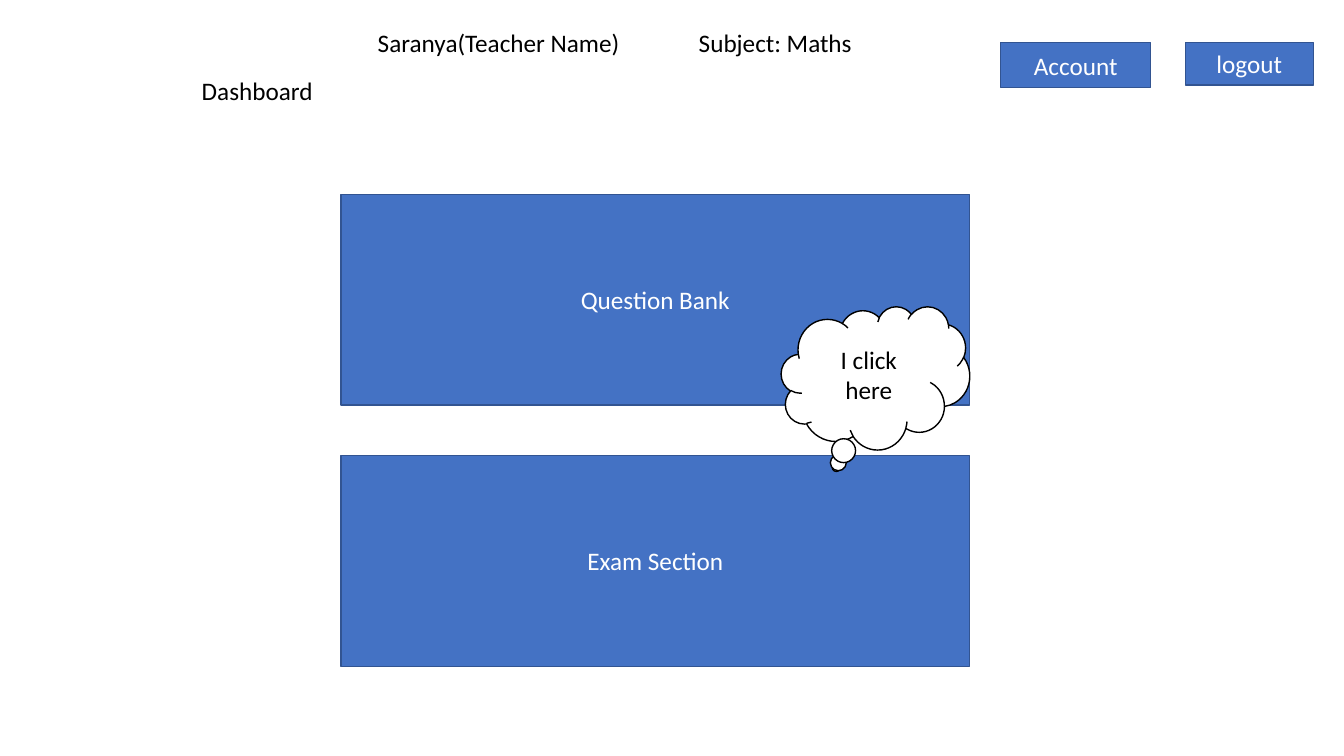
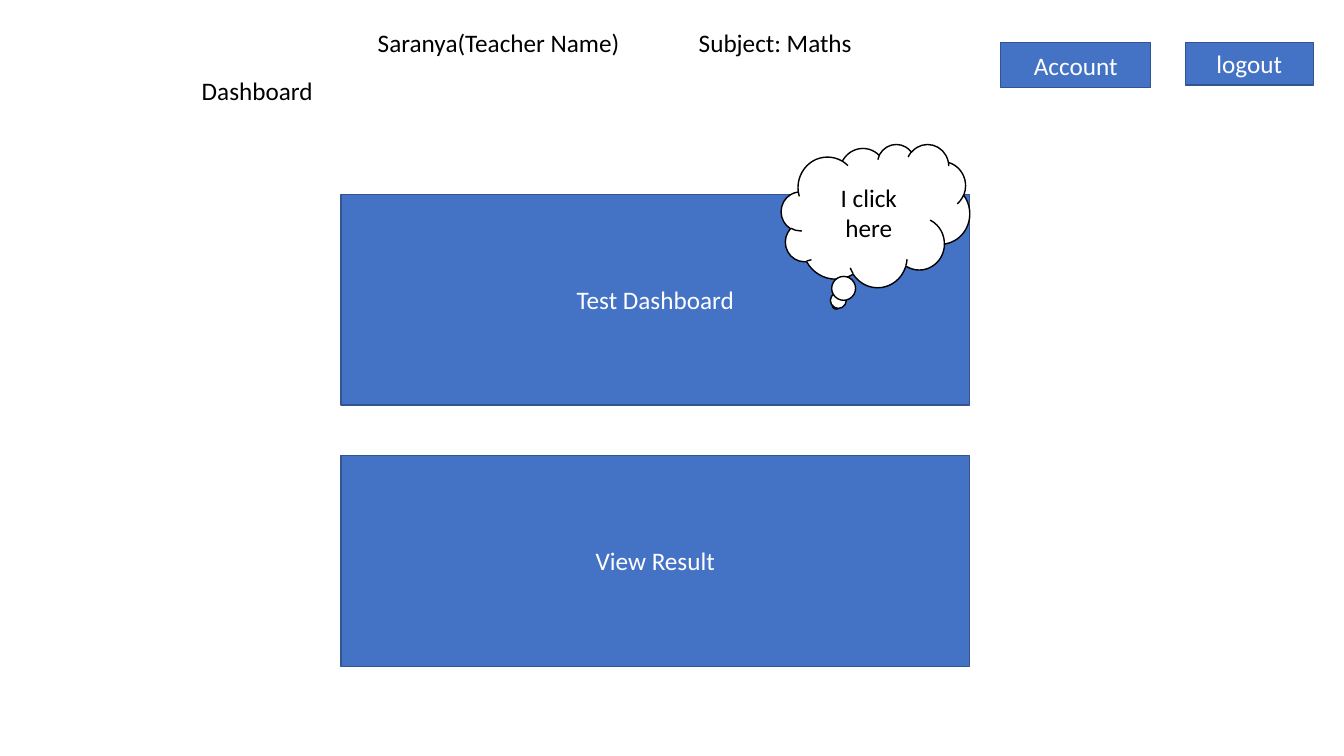
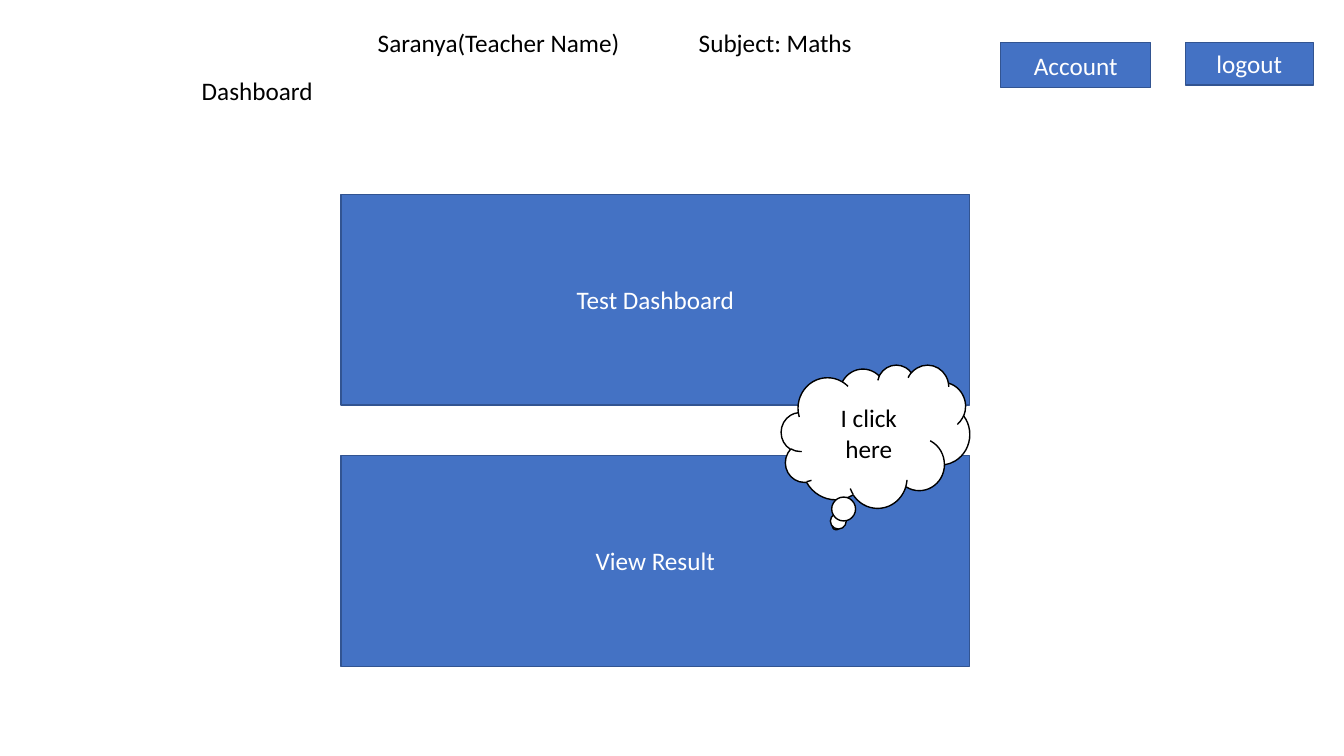
from lxml import etree
from pptx import Presentation
from pptx.dml.color import RGBColor
from pptx.enum import shapes, text
from pptx.oxml.ns import qn
from pptx.util import Cm, Pt

BLUE, EDGE, WHITE, BLACK = "4472C4", "325491", "FFFFFF", "000000"
FONT = {"name": "Calibri", "size": Pt(18), "bold": False}
LABEL_FRAME = {"word_wrap": True, "auto_size": text.MSO_AUTO_SIZE.NONE,
               "vertical_anchor": text.MSO_ANCHOR.TOP}
TITLE_BOX = (4.83, 1.78, 4.39, 1.07)
HEADER_BOX = (9.27, 0.56, 12.57, 1.02)
SUBJECT_TAB = 8.09
BUTTONS = (("Account", (25.22, 1.07, 3.78, 1.14)), ("logout", (29.87, 1.07, 3.23, 1.07)))
PANELS_BOX = (8.59, 4.9, 15.85, 11.89)
PANEL_GAP = 1.27
CLOUD_SIZE = (4.75, 3.61)
SCREENS = (
    (("Question Bank", "Exam Section"), 2.82),
    (("Test Dashboard", "View Result"), -1.27),
    (("Test Dashboard", "View Result"), 4.29),
)


def rgb(value):
    """Turn a hex string into a colour."""
    return RGBColor.from_string(value)


def apply(obj, values):
    """Set each attribute named in a dict."""
    for name, value in values.items():
        setattr(obj, name, value)


def write(tf, words, color, align):
    """Write one formatted paragraph and return it."""
    p = tf.paragraphs[0]
    p.alignment = align
    r = p.add_run()
    r.text = words
    apply(r.font, FONT)
    r.font.color.rgb = rgb(color)
    return p


def add_block(s, kind, box, words, fill=BLUE, line=EDGE, color=WHITE):
    """Add a filled shape with centred text."""
    sp = s.shapes.add_shape(kind, *map(Cm, box))
    sp.shadow.inherit = False
    sp.fill.solid()
    sp.fill.fore_color.rgb = rgb(fill)
    sp.line.color.rgb = rgb(line)
    sp.line.width = Pt(1)
    sp.text_frame.vertical_anchor = text.MSO_ANCHOR.MIDDLE
    write(sp.text_frame, words, color, text.PP_ALIGN.CENTER)


def add_title(s, box, words):
    """Place and format the title placeholder."""
    sp = s.shapes.title
    apply(sp, dict(zip(("left", "top", "width", "height"), map(Cm, box))))
    apply(sp.text_frame, LABEL_FRAME)
    write(sp.text_frame, words, BLACK, text.PP_ALIGN.LEFT)


def add_header(s, box, teacher, subject):
    """Add the teacher and subject on one line, split by a tab stop."""
    tf = s.shapes.add_textbox(*map(Cm, box)).text_frame
    apply(tf, LABEL_FRAME)
    p = write(tf, f"{teacher}\t{subject}", BLACK, text.PP_ALIGN.LEFT)
    tabs = etree.SubElement(p._p.get_or_add_pPr(), qn("a:tabLst"))
    etree.SubElement(tabs, qn("a:tab"), pos=str(Cm(SUBJECT_TAB)), algn="l")


def add_panels(s, box, names):
    """Stack equal panels in a box."""
    left, top, width, height = box
    each = (height - PANEL_GAP * (len(names) - 1)) / len(names)
    for i, name in enumerate(names):
        add_block(s, shapes.MSO_SHAPE.RECTANGLE,
                  (left, top + i * (each + PANEL_GAP), width, each), name)


def add_cloud(s, box, drop):
    """Add the click cloud at the right edge of a box, dropped from its top."""
    left, top, width, _ = box
    add_block(s, shapes.MSO_SHAPE.CLOUD_CALLOUT,
              (left + width - CLOUD_SIZE[0], top + drop, *CLOUD_SIZE),
              "I click here", WHITE, BLACK, BLACK)


def add_screen(prs, names, drop):
    """Build one dashboard slide."""
    s = prs.slides.add_slide(prs.slide_layouts.get_by_name("Title Only"))
    add_title(s, TITLE_BOX, "Dashboard")
    for name, box in BUTTONS:
        add_block(s, shapes.MSO_SHAPE.RECTANGLE, box, name)
    add_panels(s, PANELS_BOX, names)
    add_header(s, HEADER_BOX, "Saranya(Teacher Name)", "Subject: Maths")
    add_cloud(s, PANELS_BOX, drop)


prs = Presentation()
apply(prs, {"slide_width": Cm(33.87), "slide_height": Cm(19.05)})
for names, drop in SCREENS:
    add_screen(prs, names, drop)
prs.save("out.pptx")
